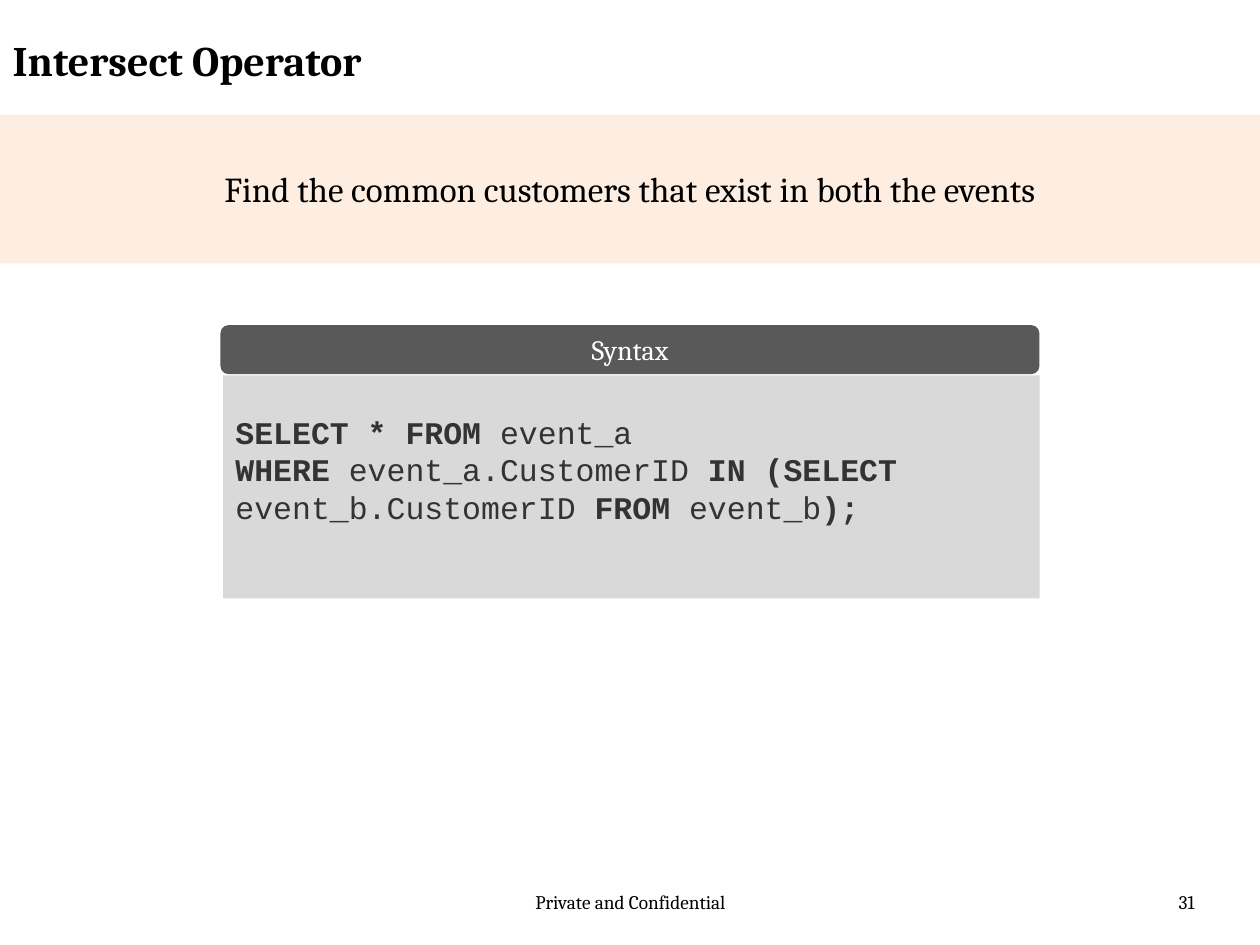
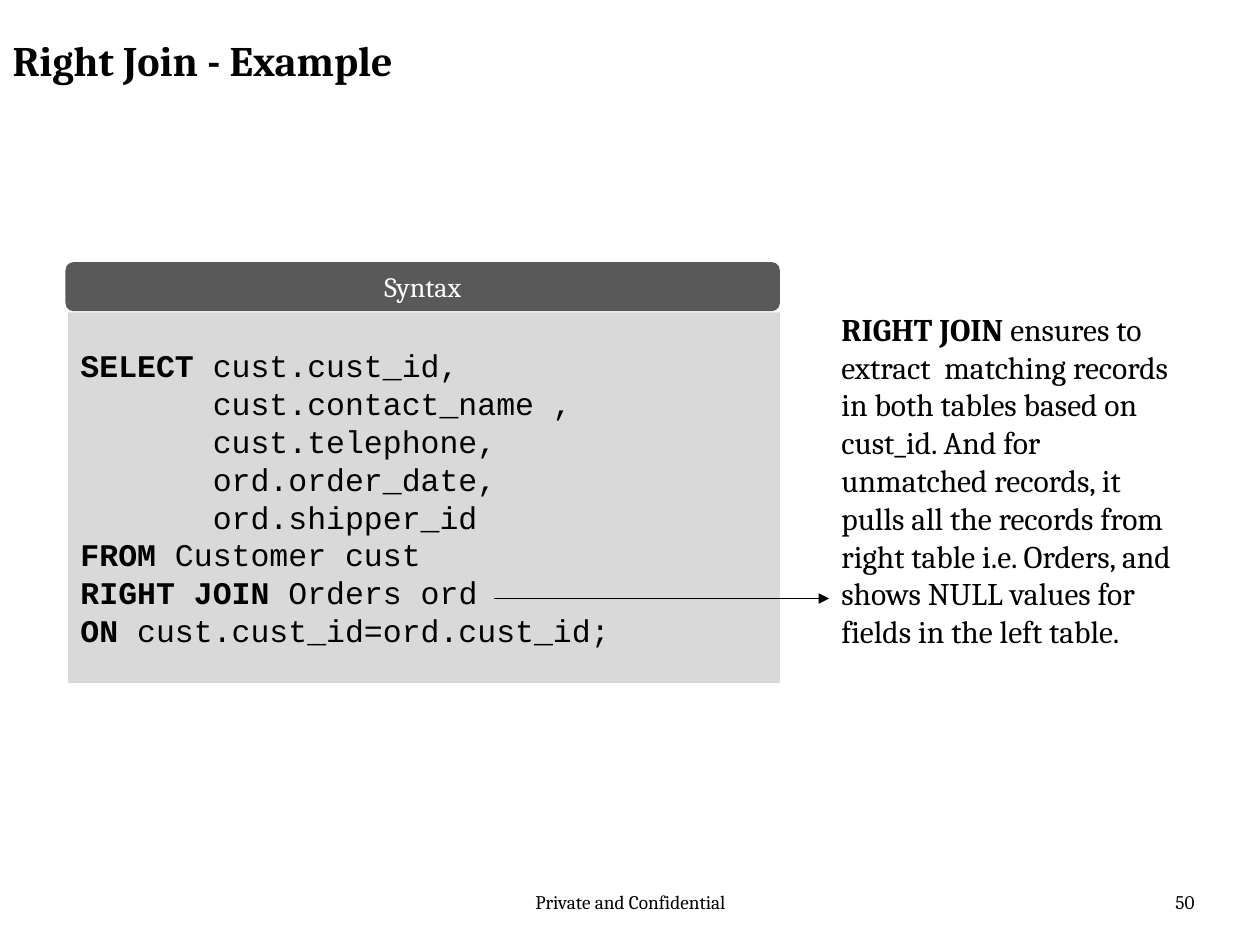
"""Builds two SQL lesson slides: the intersect operator and a right join."""
from lxml import etree
from pptx import Presentation, util as u
from pptx.dml import color
from pptx.enum import shapes, text
from pptx.oxml import ns

SERIF, MONO = "Cambria", "Courier New"
BLACK, WHITE, CODE_GREY = "000000", "FFFFFF", "333333"
BAND, HEADER, PANEL = "FDEADA", "595959", "D9D9D9"
WIDTH, HEIGHT = 10, 7.5
HEADER_HEIGHT, PANEL_OFFSET = 0.39, 0.4
CODE_SIZE = 18
INDENT = 7 * CODE_SIZE * 0.6
LEFT, CENTER, RIGHT = text.PP_ALIGN.LEFT, text.PP_ALIGN.CENTER, text.PP_ALIGN.RIGHT
TOP, MIDDLE = text.MSO_ANCHOR.TOP, text.MSO_ANCHOR.MIDDLE
FOOTER = "Private and Confidential"

# In every line, the parts between bars are bold; a leading ">" indents.
SLIDES = [
    {
        "title": "Intersect Operator",
        "number": "31",
        "band": "Find the common customers that exist in both the events",
        "code": [
            "|SELECT * FROM |event_a",
            "|WHERE |event_a.CustomerID |IN (SELECT |event_b.CustomerID |FROM |event_b|);|",
        ],
        "panel": (1.75, 2.58, 6.5, 1.77),
        "color": CODE_GREY,
        "bottom": 0.33,
    },
    {
        "title": "Right Join - Example",
        "number": "50",
        "code": [
            "|SELECT |cust.cust_id,",
            ">cust.contact_name ,",
            ">cust.telephone,",
            ">ord.order_date,",
            ">ord.shipper_id",
            "|FROM| Customer cust",
            "|RIGHT JOIN| Orders ord",
            "|ON |cust.cust_id=ord.cust_id;",
        ],
        "panel": (0.52, 2.08, 5.67, 2.94),
        "color": BLACK,
        "bottom": 0.05,
        "note": "|RIGHT JOIN |ensures to extract  matching records in both tables "
                "based on cust_id. And for unmatched records, it pulls all the "
                "records from right table i.e. Orders, and shows NULL values for "
                "fields in the left table.",
        "note_at": (6.58, 2.41, 2.9, 2.83),
        "arrow": (3.92, 4.75, 6.58, 4.75),
    },
]


def rgb(value):
    """Turns a hex string into a colour."""
    return color.RGBColor.from_string(value)


def inches(values):
    """Turns plain numbers into lengths."""
    return [u.Inches(value) for value in values]


def write(box, lines, size, ink=BLACK, font=SERIF, align=LEFT, anchor=TOP,
          bold=False, bottom=0.05):
    """Fills a box with lines whose marked parts are bold."""
    frame = box.text_frame
    settings = {"word_wrap": True, "vertical_anchor": anchor,
                "auto_size": text.MSO_AUTO_SIZE.NONE, "margin_bottom": u.Inches(bottom)}
    for name, value in settings.items():
        setattr(frame, name, value)
    for index, line in enumerate(lines):
        para = frame.add_paragraph() if index else frame.paragraphs[0]
        para.alignment = align
        if line.startswith(">"):
            para._p.get_or_add_pPr().set("marL", str(u.Pt(INDENT)))
        for part, words in enumerate(line.lstrip(">").split("|")):
            if words:
                span = para.add_run()
                span.text = words
                formats = {"name": font, "size": u.Pt(size), "bold": bold or part % 2 == 1}
                for name, value in formats.items():
                    setattr(span.font, name, value)
                span.font.color.rgb = rgb(ink)


def add_text(page, at, line, size, **formats):
    """Adds one text box."""
    write(page.shapes.add_textbox(*inches(at)), [line], size, **formats)


def add_block(page, kind, at, fill):
    """Adds a filled shape without outline or shadow."""
    block = page.shapes.add_shape(kind, *inches(at))
    block.shadow.inherit = False
    block.fill.solid()
    block.fill.fore_color.rgb = rgb(fill)
    block.line.fill.background()
    return block


def add_band(page, line):
    """Adds the translucent full-width statement."""
    band = add_block(page, shapes.MSO_SHAPE.RECTANGLE, (0, 0.91, WIDTH, 1.18), BAND)
    tint = band._element.spPr.find(".//" + ns.qn("a:srgbClr"))
    etree.SubElement(tint, ns.qn("a:alpha"), val="79000")
    write(band, [line], 20, align=CENTER, anchor=MIDDLE)
    band.text_frame.paragraphs[0].space_before = u.Pt(4)


def add_code(page, item):
    """Adds the syntax header with its code panel."""
    left, top, width, height = item["panel"]
    rounded = shapes.MSO_SHAPE.ROUNDED_RECTANGLE
    header = add_block(page, rounded, (left, top, width, HEADER_HEIGHT), HEADER)
    write(header, ["Syntax"], 16, WHITE, align=CENTER, anchor=MIDDLE)
    inset = 0.02
    panel = add_block(page, rounded,
                      (left + inset, top + PANEL_OFFSET, width - inset, height), PANEL)
    panel.adjustments[0] = 0
    write(panel, item["code"], CODE_SIZE, item["color"], MONO, anchor=MIDDLE,
          bottom=item["bottom"])


def add_arrow(page, ends):
    """Adds a thin line with a triangle at its end."""
    arrow = page.shapes.add_connector(shapes.MSO_CONNECTOR.STRAIGHT, *inches(ends))
    arrow.line.color.rgb = rgb(BLACK)
    arrow.line.width = u.Pt(0.75)
    etree.SubElement(arrow.line._get_or_add_ln(), ns.qn("a:tailEnd"), type="triangle")
    etree.SubElement(arrow._element.spPr, ns.qn("a:effectLst"))


def add_page(deck, item):
    """Adds a slide with its title, content and footer."""
    page = deck.slides.add_slide(deck.slide_layouts[5])
    title = page.shapes.title
    for name, value in zip(("left", "top", "width", "height"), inches((0, 0.22, 7.59, 0.62))):
        setattr(title, name, value)
    write(title, [item["title"]], 24, bold=True)
    add_text(page, (3.42, 7.02, 3.17, 0.4), FOOTER, 11, align=CENTER)
    add_text(page, (7.25, 7.02, 2.33, 0.4), item["number"], 11, align=RIGHT)
    if "band" in item:
        add_band(page, item["band"])
    add_code(page, item)
    if "note" in item:
        add_text(page, item["note_at"], item["note"], 18)
        add_arrow(page, item["arrow"])


deck = Presentation()
deck.slide_width, deck.slide_height = inches((WIDTH, HEIGHT))
for item in SLIDES:
    add_page(deck, item)
deck.save("out.pptx")
